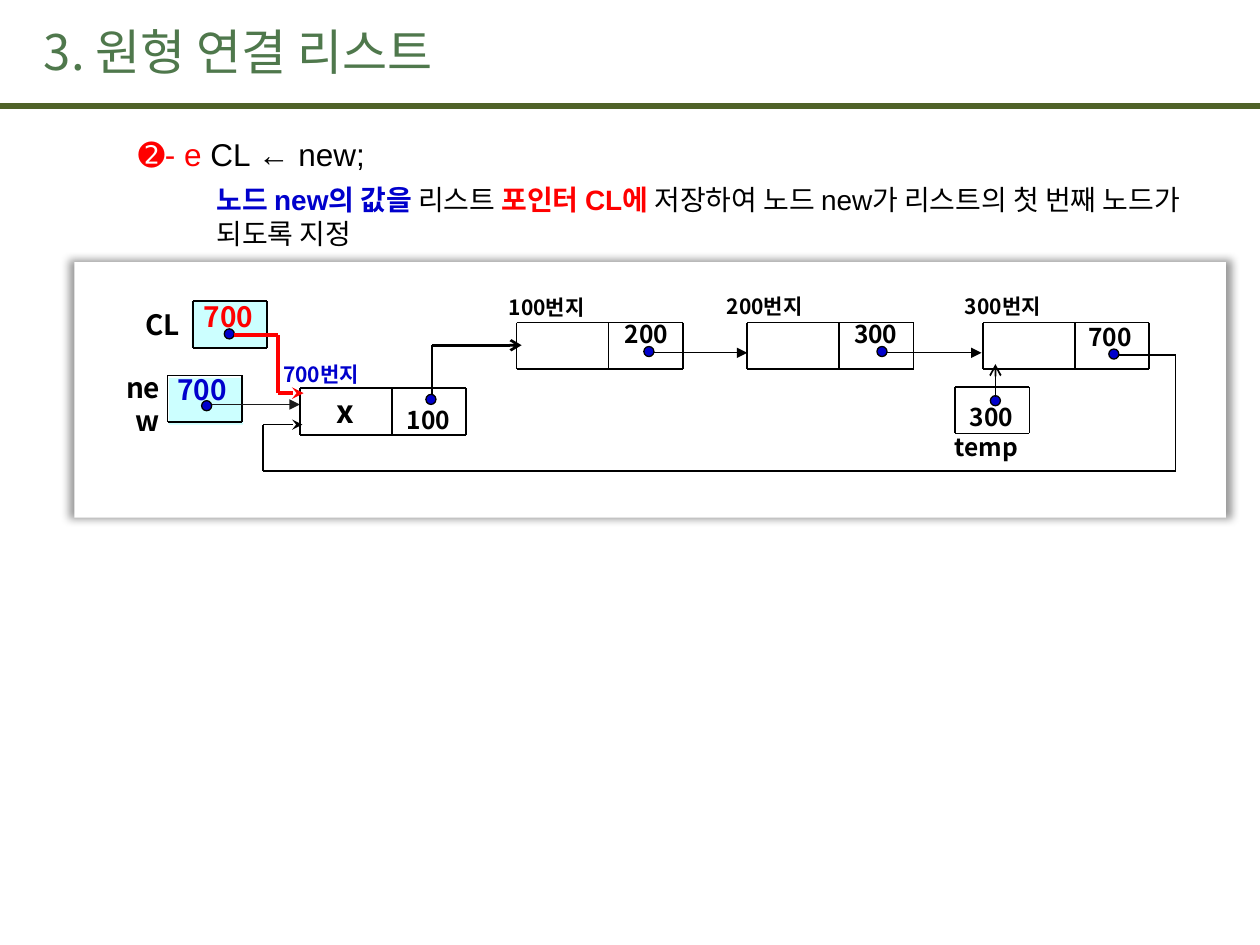
from lxml import etree
from pptx import Presentation
from pptx.dml.color import RGBColor
from pptx.enum import shapes, text
from pptx.oxml import ns
from pptx.util import Inches, Pt

BLACK = RGBColor(0x00, 0x00, 0x00)
WHITE = RGBColor(0xFF, 0xFF, 0xFF)
RED = RGBColor(0xFF, 0x00, 0x00)
BLUE = RGBColor(0x00, 0x00, 0xCC)
CYAN = RGBColor(0xCC, 0xFF, 0xFF)
CHARCOAL = RGBColor(0x1C, 0x1C, 0x1C)
TITLE_GREEN = RGBColor(0x4F, 0x78, 0x4C)
RULE_GREEN = RGBColor(0x4F, 0x62, 0x28)
KOREAN_FONT = "Noto Sans CJK KR"
BODY_FONT = "Arial"
BOX_WIDTH, BOX_HEIGHT, DOT_SIZE = 0.59, 0.37, 0.08
NODE_DIVIDER, NODE_WIDTH = 0.73, 1.32


class Diagram:
    def __init__(self, page):
        self.page = page

    def style(self, span, size, color, bold=False, font=KOREAN_FONT):
        span.font.size = Pt(size)
        span.font.bold = bold
        span.font.name = font
        span.font.color.rgb = color
        east_asian = etree.SubElement(span.font._element, ns.qn("a:ea"))
        east_asian.set("typeface", KOREAN_FONT)

    def label(self, words, left, top, width, height, size, color=BLACK, bold=True):
        box = self.page.shapes.add_textbox(
            Inches(left), Inches(top), Inches(width), Inches(height))
        frame = box.text_frame
        frame.word_wrap = True
        frame.vertical_anchor = text.MSO_ANCHOR.MIDDLE
        frame.text = words
        self.style(frame.paragraphs[0].runs[0], size, color, bold)
        return frame

    def name(self, words, left, top, width, size):
        """Right-aligned variable name beside or below its box."""
        frame = self.label(words, left, top, width, 0.38, size)
        frame.margin_left = frame.margin_top = frame.margin_right = 0
        frame.margin_bottom = Inches(0.05)
        frame.paragraphs[0].alignment = text.PP_ALIGN.RIGHT

    def block(self, left, top, width, height, fill, kind=shapes.MSO_SHAPE.RECTANGLE):
        shape = self.page.shapes.add_shape(
            kind, Inches(left), Inches(top), Inches(width), Inches(height))
        shape.shadow.inherit = False
        shape.fill.solid()
        shape.fill.fore_color.rgb = fill
        shape.line.fill.background()
        return shape

    def panel(self, left, top, width, height):
        """White panel with a soft shadow on every side."""
        shape = self.block(left, top, width, height, WHITE)
        effects = shape._element.spPr.find(ns.qn("a:effectLst"))
        shadow = etree.SubElement(
            effects, ns.qn("a:outerShdw"), blurRad=str(Pt(5)), dist="0", dir="0",
            sx="101000", sy="101000", algn="ctr", rotWithShape="0")
        color = etree.SubElement(shadow, ns.qn("a:srgbClr"), val=str(BLACK))
        etree.SubElement(color, ns.qn("a:alpha"), val="40000")

    def dot(self, left, top):
        shape = self.block(left, top, DOT_SIZE, DOT_SIZE, BLUE, shapes.MSO_SHAPE.OVAL)
        shape.line.color.rgb = BLACK
        shape.line.width = Pt(0.75)

    def line(self, start, end, width=1, color=BLACK, arrow=None):
        link = self.page.shapes.add_connector(
            shapes.MSO_CONNECTOR.STRAIGHT, *map(Inches, start + end))
        link.line.color.rgb = color
        link.line.width = Pt(width)
        if arrow:
            etree.SubElement(link.line._get_or_add_ln(), ns.qn("a:tailEnd"), type=arrow)
        etree.SubElement(link._element.spPr, ns.qn("a:effectLst"))

    def route(self, points, width=1, color=BLACK, arrow=None):
        """Bent arrow whose last leg carries the head."""
        legs = list(zip(points, points[1:]))
        for start, end in legs[:-1]:
            self.line(start, end, width, color)
        self.line(*legs[-1], width, color, arrow)

    def frame(self, left, top, *offsets):
        """Outline of cells whose vertical edges stand at the given offsets."""
        right, bottom = left + offsets[-1], top + BOX_HEIGHT
        for y in (top, bottom):
            self.line((left, y), (right, y))
        for offset in (0,) + offsets:
            self.line((left + offset, top), (left + offset, bottom))

    def node(self, left, top, address, address_left, address_top, color=BLACK):
        self.frame(left, top, NODE_DIVIDER, NODE_WIDTH)
        self.label(address, address_left, address_top, 0.96, 0.18, 12, color)

    def value(self, words, left, top):
        self.label(words, left, top, 0.56, 0.18, 14)

    def body(self, lines):
        box = self.page.shapes.add_textbox(
            Inches(0.25), Inches(1.02), Inches(9.5), Inches(1))
        frame = box.text_frame
        frame.word_wrap = True
        for index, (indent, size, spans) in enumerate(lines):
            para = frame.paragraphs[0] if index == 0 else frame.add_paragraph()
            para._p.get_or_add_pPr().set("marL", str(Inches(indent)))
            para.space_before = Pt(3 if index else 0)
            para.space_after = Pt(3)
            for words, color, bold in spans:
                span = para.add_run()
                span.text = words
                self.style(span, size, color, bold, BODY_FONT)


def main():
    deck = Presentation()
    deck.slide_width, deck.slide_height = Inches(10), Inches(7.5)
    page = deck.slides.add_slide(deck.slide_layouts[6])
    diagram = Diagram(page)

    diagram.line((0, 0.84), (10, 0.84), 3.75, RULE_GREEN)
    diagram.body([
        (0.75, 18, [("➋- e ", RED, False), ("CL ← new;", BLACK, False)]),
        (1.37, 16, [("노드 new의 값을 ", BLUE, True), ("리스트 ", BLACK, False),
                    ("포인터 CL에 ", RED, True),
                    ("저장하여 노드 new가 리스트의 첫 번째 노드가 되도록 지정", BLACK, False)]),
    ])
    diagram.label("3. 원형 연결 리스트", 0.25, 0.09, 8.27, 0.63, 28, TITLE_GREEN, False)
    diagram.panel(0.59, 2.08, 9.14, 2.03)

    # Links from the first two list nodes
    for left, end in ((5.11, 5.93), (6.96, 7.79)):
        diagram.line((left + DOT_SIZE, 2.8), (end, 2.8), 0.75, arrow="triangle")
        diagram.dot(left, 2.75)

    # Pointer variables
    diagram.block(1.52, 2.39, BOX_WIDTH, BOX_HEIGHT, CYAN)
    diagram.name("CL", 0.97, 2.41, 0.46, 16)
    diagram.frame(1.53, 2.39, BOX_WIDTH)
    diagram.dot(1.78, 2.61)

    diagram.node(4.1, 2.56, "100번지", 3.94, 2.35)
    diagram.value("200", 4.86, 2.56)
    diagram.node(5.93, 2.56, "200번지", 5.67, 2.34)
    diagram.value("300", 6.68, 2.56)

    diagram.name("temp", 7.48, 3.38, 0.6, 14)
    diagram.frame(7.58, 3.07, BOX_WIDTH)
    diagram.value("300", 7.6, 3.22)
    diagram.dot(7.86, 3.14)

    diagram.block(1.34, 3, BOX_WIDTH, BOX_HEIGHT, CYAN)
    diagram.name("new", 0.83, 3.04, 0.44, 16)
    diagram.frame(1.33, 2.98, BOX_WIDTH)
    diagram.dot(1.6, 3.18)
    diagram.label("700", 1.31, 2.98, 0.67, 0.22, 16, BLUE)
    diagram.line((1.68, 3.21), (2.38, 3.21), 0.75, CHARCOAL, "triangle")

    # Inserted node
    data = diagram.block(2.38, 3.08, NODE_DIVIDER, BOX_HEIGHT, WHITE).text_frame
    data.text = "x"
    data.vertical_anchor = text.MSO_ANCHOR.TOP
    data.auto_size = text.MSO_AUTO_SIZE.SHAPE_TO_FIT_TEXT
    data.margin_left = data.margin_right = Inches(0.08)
    data.margin_top = data.margin_bottom = Inches(0.03)
    data.paragraphs[0].alignment = text.PP_ALIGN.CENTER
    diagram.style(data.paragraphs[0].runs[0], 18, BLACK, True)
    diagram.node(2.38, 3.08, "700번지", 2.15, 2.88, BLUE)
    diagram.dot(3.38, 3.13)
    diagram.value("100", 3.13, 3.24)
    diagram.route([(3.43, 3.13), (3.43, 2.74), (4.14, 2.74)], 1.5, arrow="arrow")

    # Last node and the way back to the inserted one
    diagram.node(7.8, 2.56, "300번지", 7.56, 2.34)
    diagram.dot(8.8, 2.77)
    diagram.value("700", 8.54, 2.58)
    diagram.line((7.9, 3.15), (7.9, 2.89), arrow="arrow")
    diagram.route([(8.88, 2.82), (9.33, 2.82), (9.33, 3.74), (2.09, 3.74),
                   (2.09, 3.37), (2.4, 3.37)], arrow="stealth")

    # New value of CL
    diagram.label("700", 1.52, 2.43, 0.63, 0.16, 16, RED)
    diagram.route([(1.86, 2.66), (2.21, 2.66), (2.21, 3.12), (2.41, 3.12)],
                  2.25, RED, "stealth")

    deck.save("out.pptx")


if __name__ == "__main__":
    main()
